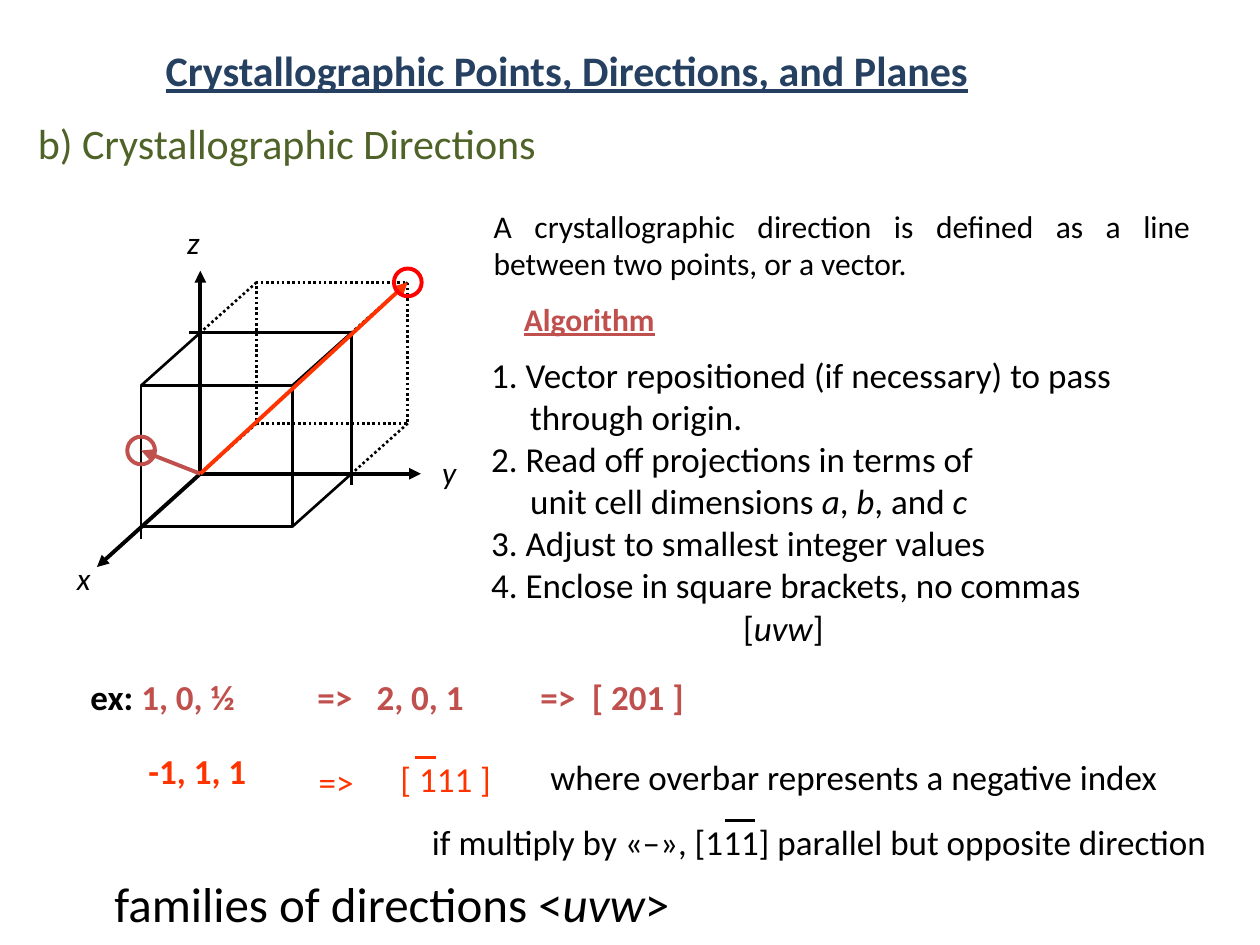
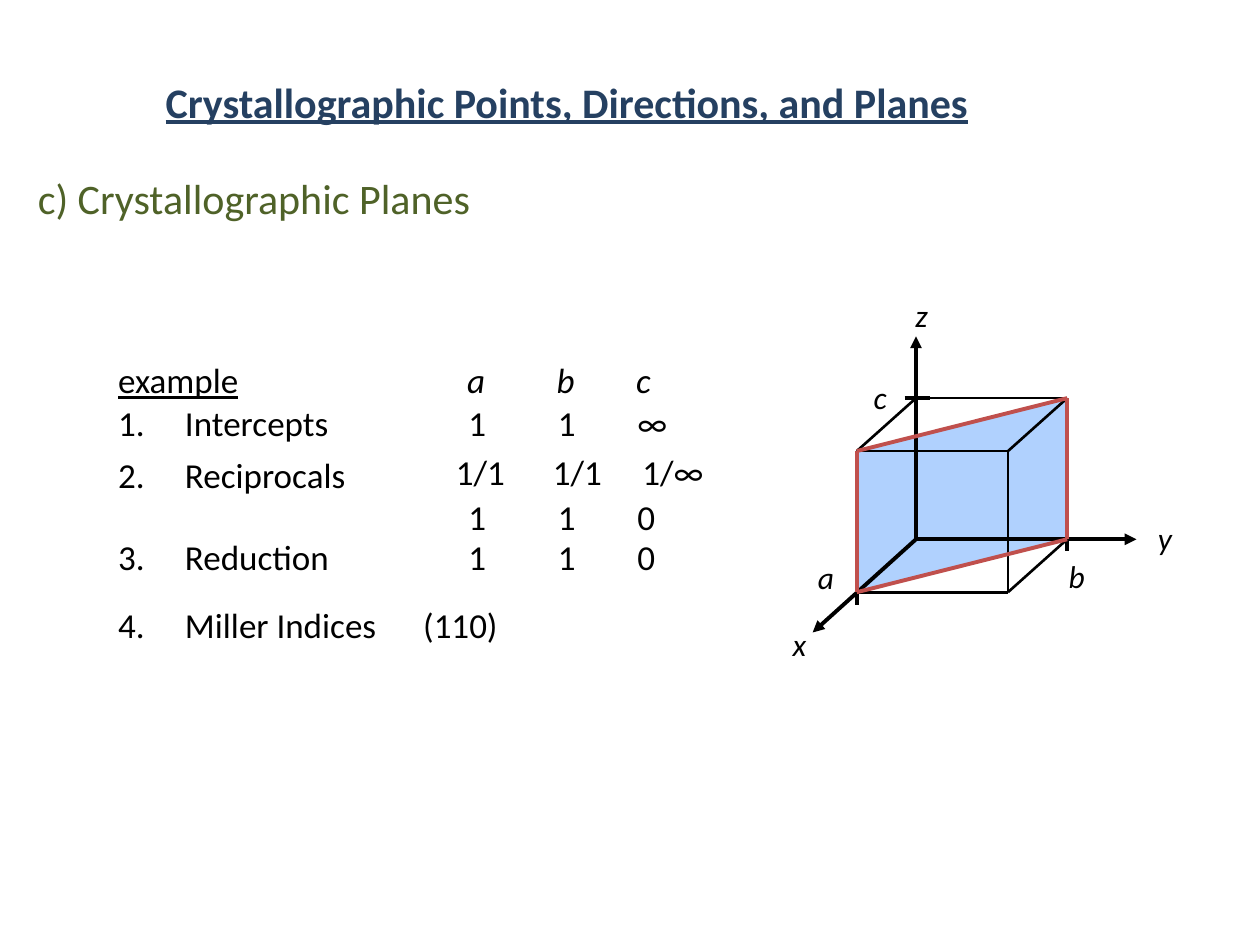
from dataclasses import dataclass
from typing import NamedTuple

from lxml import etree
from pptx import Presentation
from pptx.dml.color import RGBColor
from pptx.enum.dml import MSO_LINE
from pptx.enum.shapes import MSO_CONNECTOR, MSO_SHAPE
from pptx.enum.text import MSO_ANCHOR, PP_ALIGN
from pptx.oxml.ns import qn
from pptx.util import Inches, Pt

STRAIGHT = MSO_CONNECTOR.STRAIGHT
RECT, OVAL = MSO_SHAPE.RECTANGLE, MSO_SHAPE.OVAL
LEFT, CENTER, JUSTIFY = PP_ALIGN.LEFT, PP_ALIGN.CENTER, PP_ALIGN.JUSTIFY
MIDDLE, TOP = MSO_ANCHOR.MIDDLE, MSO_ANCHOR.TOP
DOTTED = MSO_LINE.ROUND_DOT

FONT = "Calibri"
BLACK, NAVY, GREEN = "000000", "254061", "4F6228"
BRICK, ORANGE, RED, SKY = "C0504D", "FF3300", "FF0000", "B0D1FE"
THIN, THICK = 1.5, 2.25
HEADING = "Crystallographic Points, Directions, and Planes"


class Run(NamedTuple):
    text: str
    size: float = 20
    color: str = BLACK
    bold: bool = False
    italic: bool = False
    underline: bool = False


class Para(NamedTuple):
    runs: list[Run]
    indent: float = 0


class Box(NamedTuple):
    left: float
    top: float
    width: float
    height: float

    def emu(self) -> list[int]:
        return [Inches(v) for v in self]


class Point(NamedTuple):
    x: float
    y: float


Corner = tuple[float, float, float]


@dataclass
class Cell:
    """Unit cell with its origin on the slide; corners are in x, y, z units."""
    origin: Point

    def at(self, corner: Corner) -> Point:
        x, y, z = corner
        return Point(self.origin.x - 0.47 * x + 1.2 * y,
                     self.origin.y + 0.42 * x - 1.12 * z)

    def shift(self, dx: float, dy: float) -> Point:
        return Point(self.origin.x + dx, self.origin.y + dy)


O, X, Y, Z = (0, 0, 0), (1, 0, 0), (0, 1, 0), (0, 0, 1)
XY, XZ, YZ, XYZ = (1, 1, 0), (1, 0, 1), (0, 1, 1), (1, 1, 1)
SIDE_EDGES = [(Z, XZ), (Y, XY), (YZ, XYZ), (Z, YZ)]
FRONT_EDGES = [(X, XY), (X, XZ), (XZ, XYZ), (XY, XYZ)]
PLANE = [X, XZ, YZ, Y]
BACK = -0.95
AXIS_TIPS = [(0, -1.61), (1.75, 0), (-0.82, 0.74)]
TICKS = [((1.2, 0.09), (1.2, -0.06)),
         ((-0.47, 0.52), (-0.47, 0.34)),
         ((-0.09, -1.12), (0.11, -1.12))]


def rgb(color: str) -> RGBColor:
    return RGBColor.from_string(color)


def add_runs(p, runs: list[Run]) -> None:
    for run in runs:
        r = p.add_run()
        r.text = run.text
        font = r.font
        font.name, font.size = FONT, Pt(run.size)
        font.bold, font.italic, font.underline = run.bold, run.italic, run.underline
        font.color.rgb = rgb(run.color)


def set_tabs(p, stops: tuple[float, ...]) -> None:
    tab_list = etree.SubElement(p._p.get_or_add_pPr(), qn("a:tabLst"))
    for stop in stops:
        etree.SubElement(tab_list, qn("a:tab"), pos=str(Inches(stop)), algn="l")


def add_text(slide, box: Box, paras: list[Para], align=LEFT, anchor=TOP,
             tabs: tuple[float, ...] = ()):
    sp = slide.shapes.add_textbox(*box.emu())
    tf = sp.text_frame
    tf.word_wrap, tf.vertical_anchor = True, anchor
    for i, para in enumerate(paras):
        p = tf.add_paragraph() if i else tf.paragraphs[0]
        p.alignment = align
        if para.indent:
            p._p.get_or_add_pPr().set("marL", str(Inches(para.indent)))
        if tabs:
            set_tabs(p, tabs)
        add_runs(p, para.runs)
    return sp


def add_line(slide, start: Point, end: Point, color: str = BLACK,
             width: float = THIN, dash=None, arrow: bool = False) -> None:
    sp = slide.shapes.add_connector(STRAIGHT, *[Inches(v) for v in (*start, *end)])
    sp.line.color.rgb, sp.line.width = rgb(color), Pt(width)
    if dash:
        sp.line.dash_style = dash
    if arrow:
        etree.SubElement(sp.line._get_or_add_ln(), qn("a:tailEnd"), type="triangle")
    etree.SubElement(sp._element.spPr, qn("a:effectLst"))


def add_outline(slide, kind, box: Box, color: str, width: float, dash=None) -> None:
    sp = slide.shapes.add_shape(kind, *box.emu())
    sp.shadow.inherit = False
    sp.fill.background()
    sp.line.color.rgb, sp.line.width = rgb(color), Pt(width)
    if dash:
        sp.line.dash_style = dash


def add_ring(slide, center: Point, color: str) -> None:
    size = 0.22
    box = Box(center.x - size / 2, center.y - size / 2, size, size)
    add_outline(slide, OVAL, box, color, THICK)


def add_face(slide, corner: Point, dash=None) -> None:
    add_outline(slide, RECT, Box(*corner, 1.2, 1.12), BLACK, THIN, dash)


def add_plane(slide, cell: Cell) -> None:
    points = [[Inches(v) for v in cell.at(c)] for c in PLANE]
    builder = slide.shapes.build_freeform(*points[0])
    builder.add_line_segments(points[1:], close=True)
    sp = builder.convert_to_shape()
    sp.shadow.inherit = False
    sp.fill.solid()
    sp.fill.fore_color.rgb = rgb(SKY)
    sp.line.color.rgb, sp.line.width = rgb(BLACK), Pt(0.25)


def add_axis_label(slide, letter: str, corner: Point) -> None:
    add_text(slide, Box(*corner, 0.33, 0.5), [Para([Run(letter, 18, italic=True)])], CENTER)


def add_edges(slide, cell: Cell, edges, **style) -> None:
    for start, end in edges:
        add_line(slide, cell.at(start), cell.at(end), **style)


def add_axes(slide, cell: Cell, tick_width: float, z_label: Point) -> None:
    for tip in AXIS_TIPS:
        add_line(slide, cell.origin, cell.shift(*tip), width=THICK, arrow=True)
    for start, end in TICKS:
        add_line(slide, cell.shift(*start), cell.shift(*end), width=tick_width)
    add_axis_label(slide, "x", cell.shift(-1.09, 0.63))
    add_axis_label(slide, "y", cell.shift(1.81, -0.21))
    add_axis_label(slide, "z", z_label)
    add_edges(slide, cell, SIDE_EDGES)


def add_slide(prs, title: str, title_top: float, heading_top: float):
    slide = prs.slides.add_slide(prs.slide_layouts[5])
    sp = slide.shapes.title
    sp.left, sp.top, sp.width, sp.height = Box(0.2, title_top, 9.17, 0.75).emu()
    tf = sp.text_frame
    tf.vertical_anchor = MIDDLE
    p = tf.paragraphs[0]
    p.alignment = LEFT
    add_runs(p, [Run(title, 24, GREEN)])
    heading = Run(HEADING, 24, NAVY, bold=True, underline=True)
    add_text(slide, Box(0, heading_top, 9, 0.69), [Para([heading])], CENTER, MIDDLE)
    return slide


def add_directions_slide(prs) -> None:
    slide = add_slide(prs, "b) Crystallographic Directions", 0.76, 0.21)

    cell = Cell(Point(1.59, 3.76))
    add_axes(slide, cell, THIN, Point(1.37, 1.72))
    back_edges = [((BACK, y, z), (0, y, z)) for z in (1, 0) for y in (0, 1)]
    add_edges(slide, cell, back_edges, dash=DOTTED)
    add_edges(slide, cell, [(Y, YZ)])
    add_face(slide, cell.at(XZ))
    add_face(slide, cell.at((BACK, 0, 1)), DOTTED)
    for tip, color, ring in [((1, 0, 0.54), BRICK, BRICK), ((BACK, 1, 1), ORANGE, RED)]:
        add_line(slide, cell.origin, cell.at(tip), color, THICK, arrow=True)
        add_ring(slide, cell.at(tip), ring)

    definition = Run("A crystallographic direction is defined as a line "
                     "between two points, or a vector.", 18)
    sp = add_text(slide, Box(3.82, 1.59, 5.83, 0.71), [Para([definition])], JUSTIFY)
    sp.text_frame.margin_right = Inches(0.2)
    add_text(slide, Box(4.06, 2.33, 1.25, 0.4),
             [Para([Run("Algorithm", 18, BRICK, bold=True, underline=True)])])
    add_text(slide, Box(3.8, 2.76, 5.9, 2.46), [
        Para([Run("1. Vector repositioned (if necessary) to pass")]),
        Para([Run("through origin.")], 0.31),
        Para([Run("2. Read off projections in terms of")]),
        Para([Run("unit cell dimensions "), Run("a", italic=True), Run(", "),
              Run("b", italic=True), Run(", and "), Run("c", italic=True)], 0.31),
        Para([Run("3. Adjust to smallest integer values")]),
        Para([Run("4. Enclose in square brackets, no commas")]),
        Para([Run("["), Run("uvw", italic=True), Run("]")], 2),
    ])

    examples = [
        (Box(0.62, 5.31, 1.94, 0.44),
         [Run("ex: ", bold=True), Run("1, 0, ½", color=BRICK, bold=True)], ()),
        (Box(2.42, 5.31, 1.92, 0.44), [Run("=>\t2, 0, 1", color=BRICK, bold=True)], (0.47,)),
        (Box(4.19, 5.31, 1.83, 0.44), [Run("=>\t[ 201 ]", color=BRICK, bold=True)], (0.41,)),
        (Box(1.08, 5.9, 1.33, 0.44), [Run("-1, 1, 1", color=ORANGE, bold=True)], ()),
        (Box(2.43, 5.99, 0.48, 0.44), [Run("=>", color=ORANGE)], ()),
        (Box(3.08, 5.96, 0.93, 0.44), [Run("[ 111 ]", color=ORANGE)], ()),
        (Box(4.27, 5.95, 5.26, 0.44), [Run("where overbar represents a negative index")], ()),
        (Box(3.33, 6.46, 6.55, 0.44),
         [Run("if multiply by «–», [111] parallel but opposite direction")], ()),
        (Box(0.81, 6.88, 5.51, 0.57),
         [Run("families of directions <", 28), Run("uvw", 28, italic=True), Run(">", 28)], ()),
    ]
    for box, runs, tabs in examples:
        add_text(slide, box, [Para(runs)], tabs=tabs)
    add_line(slide, Point(3.29, 6.01), Point(3.46, 6.01), ORANGE)
    add_line(slide, Point(5.75, 6.51), Point(5.99, 6.51))


def add_planes_slide(prs) -> None:
    slide = add_slide(prs, "c) Crystallographic Planes", 1.19, 0.46)

    cell = Cell(Point(7.27, 4.28))
    add_plane(slide, cell)
    add_axes(slide, cell, THICK, Point(7.15, 2.3))
    add_edges(slide, cell, FRONT_EDGES)
    add_edges(slide, cell, zip(PLANE, PLANE[1:] + PLANE[:1]), color=BRICK, width=THICK)
    for letter, corner in [("a", Point(6.39, 4.38)), ("b", Point(8.38, 4.37)),
                           ("c", Point(6.82, 2.95))]:
        add_axis_label(slide, letter, corner)

    labels = [(2.8, Run("example", underline=True)), (3.14, Run("1.\tIntercepts")),
              (3.55, Run("2.\tReciprocals")), (4.2, Run("3.\tReduction")),
              (4.74, Run("4.\tMiller Indices\t(110)"))]
    for top, run in labels:
        width = 4.6 if "Miller" in run.text else 2.5
        add_text(slide, Box(0.84, top, width, 0.43), [Para([run])], tabs=(0.53, 2.42))

    columns, fraction_columns = (0.71, 1.34), (0.77, 1.48)
    values = [(3.61, 2.8, Run("a\tb\tc", italic=True), columns),
              (3.62, 3.14, Run("1\t1\t∞"), columns),
              (3.52, 3.53, Run("1/1\t1/1\t1/∞"), fraction_columns),
              (3.62, 3.88, Run("1\t1\t0"), columns),
              (3.62, 4.2, Run("1\t1\t0"), columns)]
    for left, top, run, tabs in values:
        add_text(slide, Box(left, top, 2.2, 0.43), [Para([run])], tabs=tabs)


def main() -> None:
    prs = Presentation()
    prs.slide_width, prs.slide_height = Inches(10), Inches(7.5)
    add_directions_slide(prs)
    add_planes_slide(prs)
    prs.save("out.pptx")


if __name__ == "__main__":
    main()
